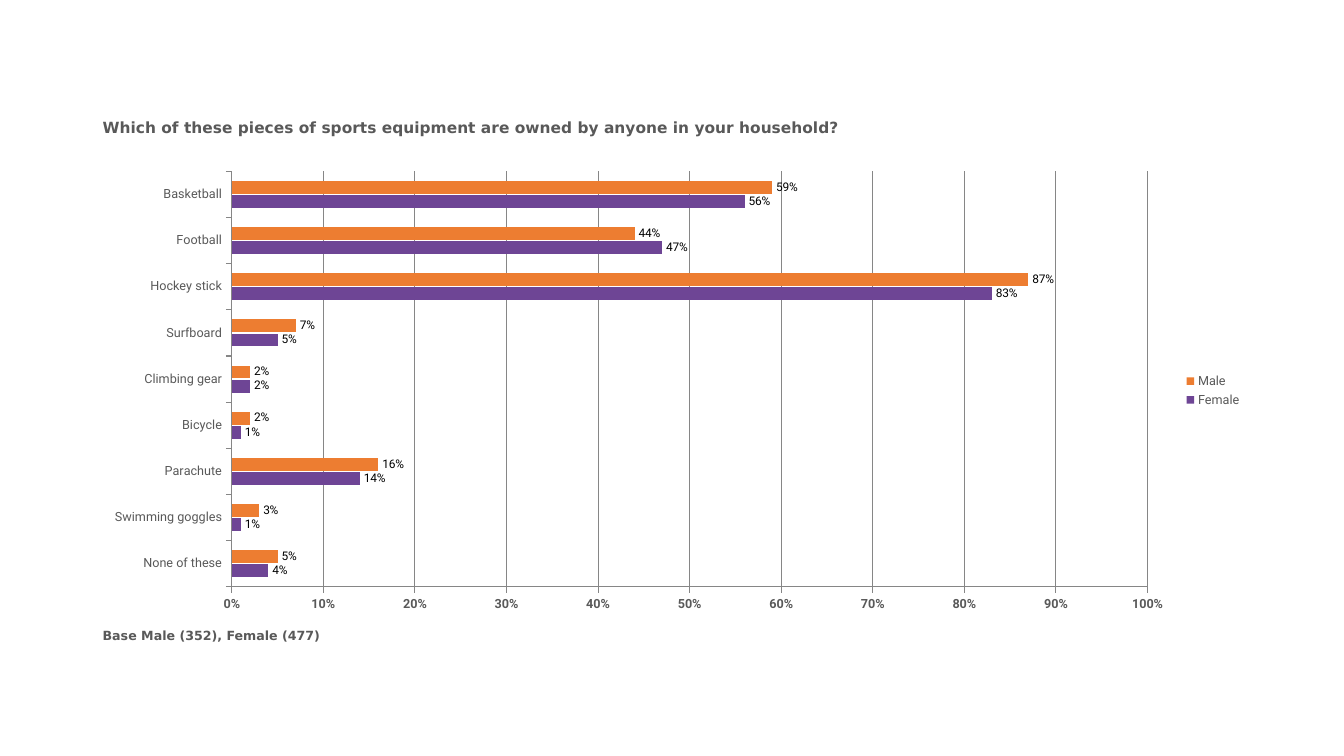
"""Builds a slide with a bar chart of sports equipment owned, by gender."""
import pptx
import pptx.util
import pptx.oxml
import pptx.oxml.ns
import pptx.dml.color
import pptx.chart.data
import pptx.enum.chart

Pt = pptx.util.Pt
enum = pptx.enum.chart

LEFT, WIDTH = 66.24, 828
TEXTS = [
    ("Which of these pieces of sports equipment are owned by anyone in your household?", 80.64, 36.72, 11),
    ("Base Male (352), Female (477)", 444.96, 30.96, 9),
]
ROWS = [
    ("None of these", 0.04, 0.05),
    ("Swimming goggles", 0.01, 0.03),
    ("Parachute", 0.14, 0.16),
    ("Bicycle", 0.01, 0.02),
    ("Climbing gear", 0.02, 0.02),
    ("Surfboard", 0.05, 0.07),
    ("Hockey stick", 0.83, 0.87),
    ("Football", 0.47, 0.44),
    ("Basketball", 0.56, 0.59),
]
SERIES = [("Female", "6E4595"), ("Male", "ED7D31")]
PLOT = {"x": 0.12, "y": 0.02, "w": 0.79, "h": 0.91}
GREY, BLACK, LINE = "595959", "000000", "868686"


def color(code):
    """Turn a hex string into a colour."""
    return pptx.dml.color.RGBColor.from_string(code)


def assign(item, values):
    """Set each named attribute on the item."""
    for name, value in values.items():
        setattr(item, name, value)


def style(font, size, code, name="Roboto", bold=False):
    """Format a font."""
    assign(font, {"size": Pt(size), "name": name, "bold": bold})
    font.color.rgb = color(code)


def rule(line):
    """Draw a thin grey line."""
    line.width = Pt(0.75)
    line.color.rgb = color(LINE)


def place(chart):
    """Fix the inner plot area as fractions of the chart."""
    area = chart._chartSpace.chart.plotArea
    for old in area.findall(pptx.oxml.ns.qn("c:layout")):
        area.remove(old)
    parts = "".join(f'<c:{key} val="{val}"/>' for key, val in PLOT.items())
    area.insert(0, pptx.oxml.parse_xml(
        f'<c:layout {pptx.oxml.ns.nsdecls("c")}><c:manualLayout>'
        '<c:layoutTarget val="inner"/><c:xMode val="edge"/><c:yMode val="edge"/>'
        f'{parts}</c:manualLayout></c:layout>'))


deck = pptx.Presentation()
assign(deck, {"slide_width": Pt(960), "slide_height": Pt(540)})
slide = deck.slides.add_slide(deck.slide_layouts[6])

for text, top, height, size in TEXTS:
    frame = slide.shapes.add_textbox(Pt(LEFT), Pt(top), Pt(WIDTH), Pt(height)).text_frame
    frame.word_wrap = True
    run = frame.paragraphs[0].add_run()
    run.text = text
    style(run.font, size, GREY, "DejaVu Sans", True)

data = pptx.chart.data.CategoryChartData(number_format="0%")
names, *columns = zip(*ROWS)
data.categories = names
for (name, code), values in zip(SERIES, columns):
    data.add_series(name, values)
chart = slide.shapes.add_chart(
    enum.XL_CHART_TYPE.BAR_CLUSTERED,
    Pt(LEFT), Pt(115.92), Pt(WIDTH), Pt(326.16), data).chart
assign(chart, {"has_title": False, "has_legend": True})
style(chart.font, 18, BLACK, "Calibri")
place(chart)

assign(chart.legend, {"position": enum.XL_LEGEND_POSITION.RIGHT, "include_in_layout": False})
style(chart.legend.font, 9, GREY)

plot = chart.plots[0]
assign(plot, {"gap_width": 150, "overlap": -10, "vary_by_categories": False})
for series, (name, code) in zip(plot.series, SERIES):
    series.format.fill.solid()
    series.format.fill.fore_color.rgb = color(code)
    labels = series.data_labels
    assign(labels, {
        "show_value": True, "position": enum.XL_LABEL_POSITION.OUTSIDE_END,
        "number_format": "0%", "number_format_is_linked": False})
    style(labels.font, 8.5, BLACK)

for axis, bold in ((chart.category_axis, False), (chart.value_axis, True)):
    assign(axis, {
        "tick_label_position": enum.XL_TICK_LABEL_POSITION.LOW,
        "major_tick_mark": enum.XL_TICK_MARK.OUTSIDE,
        "minor_tick_mark": enum.XL_TICK_MARK.NONE,
        "has_major_gridlines": bold})
    style(axis.tick_labels.font, 9, GREY, bold=bold)
    rule(axis.format.line)

scale = chart.value_axis
assign(scale, {"minimum_scale": 0, "maximum_scale": 1, "major_unit": 0.1})
assign(scale.tick_labels, {"number_format": "0%", "number_format_is_linked": False})
rule(scale.major_gridlines.format.line)

deck.save("out.pptx")
